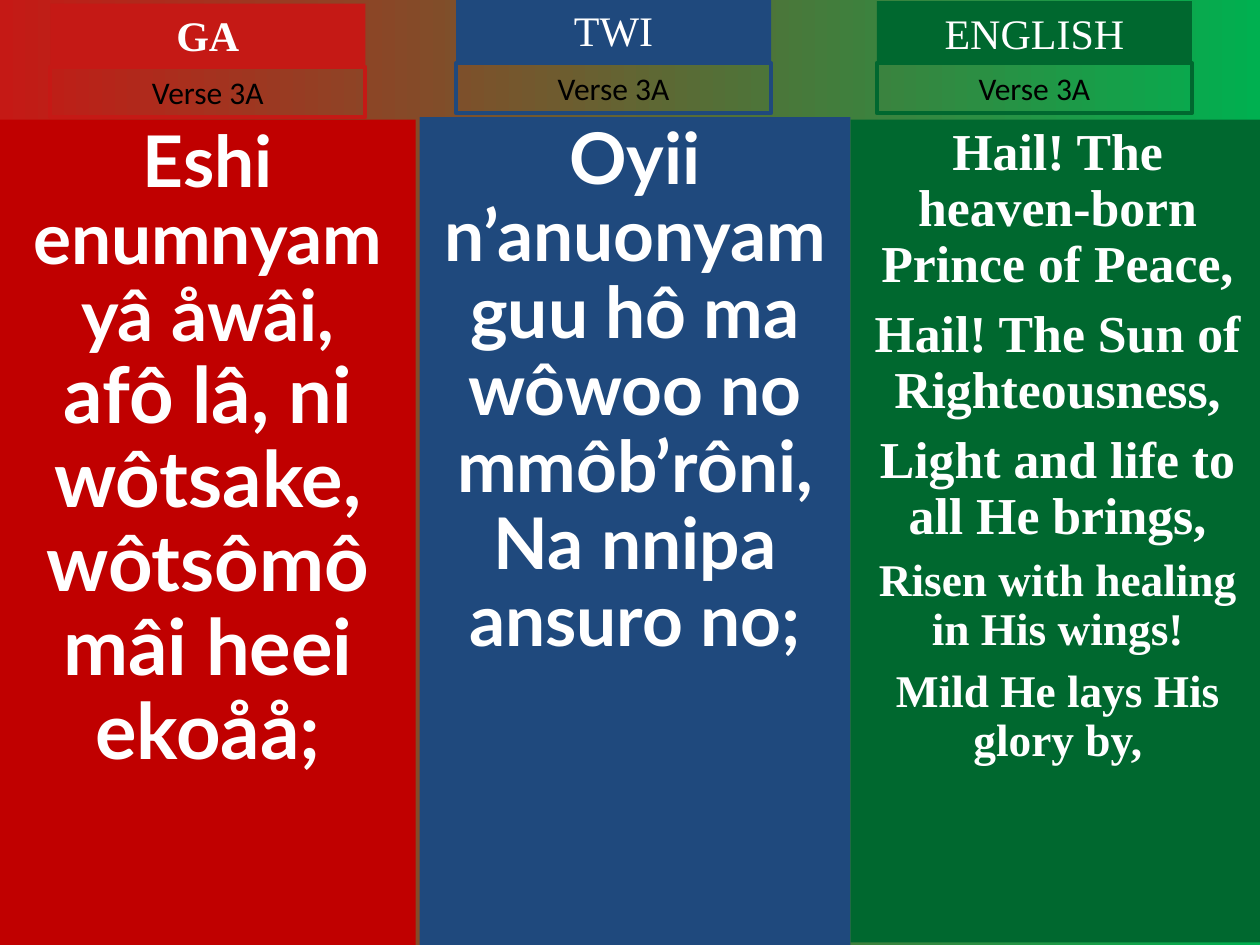
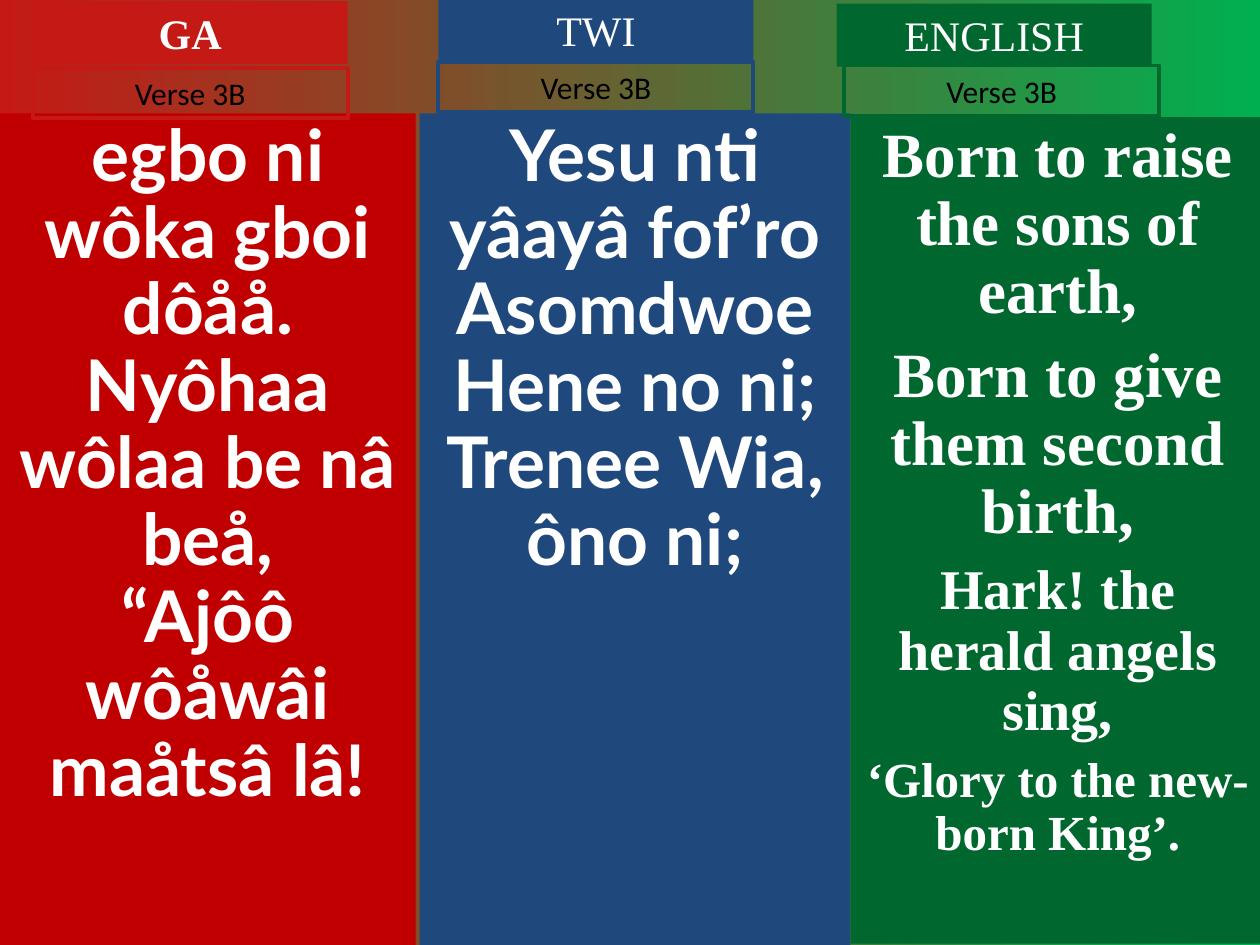
from pptx import Presentation
from pptx import util as u
from pptx.dml.color import RGBColor
from pptx.enum import shapes, text

# Colours
RED = RGBColor(0xC0, 0x00, 0x00)
SCARLET = RGBColor(0xC5, 0x19, 0x15)
BLUE = RGBColor(0x1F, 0x49, 0x7D)
GREEN = RGBColor(0x00, 0x68, 0x2F)
BRIGHT_GREEN = RGBColor(0x00, 0xB0, 0x50)
WHITE = RGBColor(0xFF, 0xFF, 0xFF)
BLACK = RGBColor(0x00, 0x00, 0x00)

# Sizes in inches
WIDTH, HEIGHT = 10, 7.5
TAG_WIDTH, NAME_HEIGHT, VERSE_HEIGHT = 2.5, 0.5, 0.4

# Languages: column left and width, colours, lyric font, bold name
LANGUAGES = {
    "GA": dict(left=0, width=3.3, fill=RED, tag=SCARLET, font="Lato", bold=True),
    "TWI": dict(left=3.33, width=3.42, fill=BLUE, tag=BLUE, font="Lato", bold=False),
    "ENGLISH": dict(left=6.75, width=3.29, fill=GREEN, tag=GREEN,
                    font="Times New Roman", bold=False),
}

# Verses: column (top, height), name and verse tags (left, top),
# lines (text, size, space before)
VERSES = {
    "Verse 3A": {
        "GA": dict(column=(0.95, 6.55), name=(0.4, 0.03), verse=(0.4, 0.53), lines=[
            ("Eshi enumnyam yâ åwâi,", 40.7, 0),
            ("afô lâ, ni wôtsake,", 44.4, 0),
            ("wôtsômô mâi heei ekoåå;", 44.4, 0)]),
        "TWI": dict(column=(0.93, 6.57), name=(3.62, -0.01), verse=(3.62, 0.5), lines=[
            ("Oyii n’anuonyam guu hô ma wôwoo no mmôb’rôni,", 40.7, 0),
            ("Na nnipa ansuro no;", 40.7, 0)]),
        "ENGLISH": dict(column=(0.95, 6.53), name=(6.96, 0.01), verse=(6.96, 0.5), lines=[
            ("Hail! The heaven-born Prince of Peace,", 29.6, 0),
            ("Hail! The Sun of Righteousness,", 29.6, 8),
            ("Light and life to all He brings,", 29.6, 8),
            ("Risen with healing in His wings!", 25.9, 7),
            ("Mild He lays His glory by,", 25.9, 7)]),
    },
    "Verse 3B": {
        "GA": dict(column=(0.9, 6.6), name=(0.26, 0.01), verse=(0.26, 0.54), lines=[
            ("egbo ni wôka gboi dôåå.", 40.7, 0),
            ("Nyôhaa wôlaa be nâ beå,", 40.7, 0),
            ("“Ajôô wôåwâi maåtsâ lâ!", 40.7, 0)]),
        "TWI": dict(column=(0.9, 6.6), name=(3.48, -0.01), verse=(3.48, 0.49), lines=[
            ("Yesu nti yâayâ fof’ro", 40.7, 0),
            ("Asomdwoe Hene no ni;", 40.7, 0),
            ("Trenee Wia, ôno ni;", 40.7, 0)]),
        "ENGLISH": dict(column=(0.93, 6.56), name=(6.64, 0.03), verse=(6.7, 0.52), lines=[
            ("Born to raise the sons of earth,", 36, 0),
            ("Born to give them second birth,", 36, 9),
            ("Hark! the herald angels sing,", 32, 8),
            ("‘Glory to the new-born King’.", 28, 7)]),
    },
}


def set_all(target, values):
    for name, value in values.items():
        setattr(target, name, value)


def add_box(page, area, lines, font, fill=None, outline=None, spacing=1.0, grow=False):
    """Add a rectangle with centred lines, filled or outlined."""
    box = page.shapes.add_shape(shapes.MSO_SHAPE.RECTANGLE, *map(u.Inches, area))
    box.shadow.inherit = False
    if fill is None:
        box.fill.background()
    else:
        box.fill.solid()
        box.fill.fore_color.rgb = fill
    if outline is None:
        box.line.fill.background()
    else:
        box.line.color.rgb = outline
        box.line.width = u.Pt(2.25)
    frame = box.text_frame
    fit = text.MSO_AUTO_SIZE.SHAPE_TO_FIT_TEXT if grow else text.MSO_AUTO_SIZE.NONE
    set_all(frame, dict(word_wrap=True, auto_size=fit,
                        vertical_anchor=text.MSO_ANCHOR.TOP))
    for index, (words, size, before) in enumerate(lines):
        para = frame.add_paragraph() if index else frame.paragraphs[0]
        set_all(para, dict(alignment=text.PP_ALIGN.CENTER, line_spacing=spacing,
                           space_before=u.Pt(before)))
        span = para.add_run()
        span.text = words
        set_all(span.font, dict(size=u.Pt(size), name=font["name"], bold=font["bold"]))
        span.font.color.rgb = font["color"]


def add_background(page):
    fill = page.background.fill
    fill.gradient()
    fill.gradient_angle = 0
    for stop, color, position in zip(fill.gradient_stops, (SCARLET, BRIGHT_GREEN), (0, 1)):
        stop.color.rgb = color
        stop.position = position


def add_language(page, verse, name, part):
    """Add a lyric column with its language and verse tags."""
    style = LANGUAGES[name]
    top, height = part["column"]
    add_box(page, (style["left"], top, style["width"], height), part["lines"],
            dict(name=style["font"], bold=True, color=WHITE),
            fill=style["fill"], spacing=0.9)
    add_box(page, (*part["name"], TAG_WIDTH, NAME_HEIGHT), [(name, 24, 0)],
            dict(name="Times New Roman", bold=style["bold"], color=WHITE),
            fill=style["tag"], grow=True)
    add_box(page, (*part["verse"], TAG_WIDTH, VERSE_HEIGHT), [(verse, 18, 0)],
            dict(name="Calibri", bold=False, color=BLACK),
            outline=style["tag"], grow=True)


def main():
    deck = Presentation()
    set_all(deck, dict(slide_width=u.Inches(WIDTH), slide_height=u.Inches(HEIGHT)))
    blank = deck.slide_layouts[6]
    for verse, parts in VERSES.items():
        page = deck.slides.add_slide(blank)
        add_background(page)
        for name, part in parts.items():
            add_language(page, verse, name, part)
    deck.save("out.pptx")


if __name__ == "__main__":
    main()
